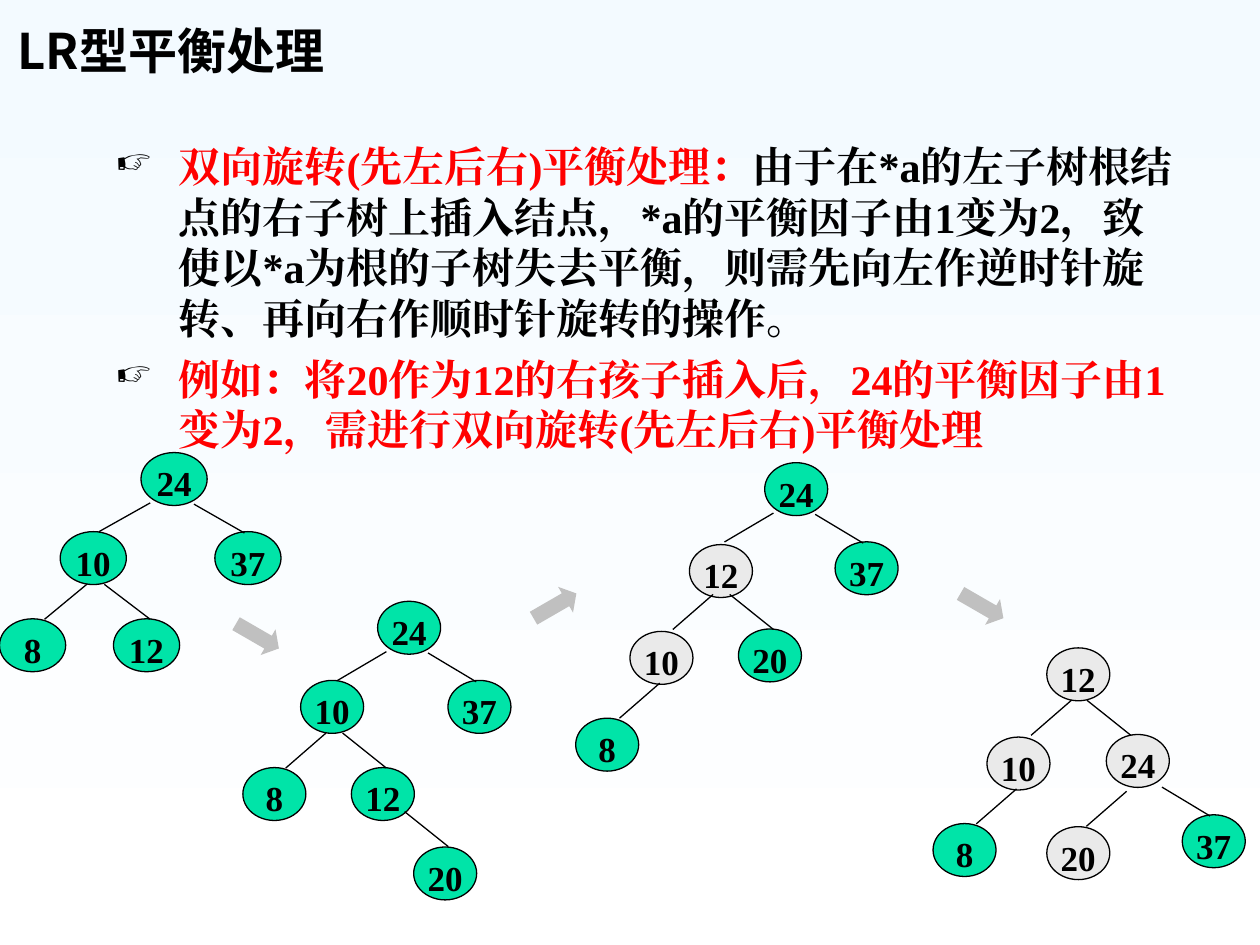
from dataclasses import dataclass
from typing import NamedTuple

from lxml.etree import SubElement
from pptx import Presentation
from pptx.dml.color import RGBColor
from pptx.enum.shapes import MSO_CONNECTOR, MSO_SHAPE
from pptx.enum.text import MSO_ANCHOR, PP_ALIGN
from pptx.oxml.ns import qn
from pptx.util import Pt


@dataclass(frozen=True)
class Theme:
    ink: str = "000000"
    key: str = "FF0000"
    green: str = "00E4A8"
    pale: str = "EAEAEA"
    arrow: str = "C0C0C0"
    sky: str = "F3FAFF"
    white: str = "FFFFFF"
    sans: str = "Noto Sans CJK SC"
    serif: str = "Times New Roman"
    title: float = 28
    body: float = 24
    label: float = 20
    line: float = 0.75


THEME = Theme()
NODE_W, NODE_H = 36, 30.24


class Node(NamedTuple):
    text: str
    x: float
    y: float
    fill: str = THEME.green


class Edge(NamedTuple):
    x: float
    y: float
    span: tuple[float, float]


class Tree(NamedTuple):
    """Nodes and edges are placed relative to the root's top left corner."""
    x: float
    y: float
    nodes: list[Node]
    edges: list[Edge]
    scale: float = 1


class Arrow(NamedTuple):
    x: float
    y: float
    turn: float


WIDE_L, WIDE_R = (-28, 16.5), (27.5, 16.5)
STEEP_L, STEEP_R = (-23, 20), (25, 20)

TOP = [Node("24", 0, 0), Node("37", 40.2, 45.2)]
TOP_EDGES = [Edge(28.8, 29.5, WIDE_R), Edge(5, 28.8, WIDE_L)]
MID_EDGES = [Edge(-20, 75.3, STEEP_R), Edge(-29.5, 75.3, STEEP_L)]
START = TOP + [Node("10", -44, 45.2), Node("12", -15, 95), Node("8", -77, 95)]

TREES = [
    Tree(80.6, 258.6, START, TOP_EDGES + MID_EDGES, 1.05),
    Tree(215.8, 343.6, START + [Node("20", 20.6, 140.4)],
         TOP_EDGES + MID_EDGES + [Edge(15.4, 120.2, STEEP_R)]),
    Tree(437, 264.4,
         TOP + [Node("12", -43, 46.8, THEME.pale), Node("20", -15, 95),
                Node("10", -77, 96.4, THEME.pale), Node("8", -108, 146)],
         TOP_EDGES + MID_EDGES + [Edge(-60, 126, STEEP_L)]),
    Tree(598.2, 370.2,
         [Node("12", 0, 0, THEME.pale), Node("24", 34, 49.5, THEME.pale),
          Node("10", -34.2, 51, THEME.pale), Node("8", -65, 100.4),
          Node("20", 0, 102.2, THEME.pale), Node("37", 77.4, 95.4)],
         [Edge(23, 30, STEEP_R), Edge(14, 30, STEEP_L),
          Edge(-17.3, 80.6, STEEP_L), Edge(45.6, 82, STEEP_L),
          Edge(65.8, 79.6, WIDE_R)]),
]
ARROWS = [Arrow(133, 355, 30), Arrow(547, 337.7, 30), Arrow(303, 337.7, 330)]

TITLE = "LR型平衡处理"
POINTS = [
    [("双向旋转(先左后右)平衡处理：", THEME.key),
     ("由于在*a的左子树根结点的右子树上插入结点，*a的平衡因子由1变为2，致使以*a为根的"
      "子树失去平衡，则需先向左作逆时针旋转、再向右作顺时针旋转的操作。", THEME.ink)],
    [("例如：将20作为12的右孩子插入后，24的平衡因子由1变为2，"
      "需进行双向旋转(先左后右)平衡处理", THEME.key)],
]


def rgb(code: str) -> RGBColor:
    return RGBColor.from_string(code)


def write(para, text: str, *, size: float, face: str = THEME.serif,
          color: str = THEME.ink) -> None:
    run = para.add_run()
    run.text = text
    font = run.font
    font.size, font.name, font.bold = Pt(size), face, True
    font.color.rgb = rgb(color)
    SubElement(font._element, qn("a:ea"), typeface=face)


def add_box(slide, x: float, y: float, w: float, h: float):
    frame = slide.shapes.add_textbox(Pt(x), Pt(y), Pt(w), Pt(h)).text_frame
    frame.word_wrap = True
    return frame


def add_mark(para) -> None:
    """Give a paragraph its hanging pointing-hand bullet."""
    props = para._p.get_or_add_pPr()
    props.set("marL", str(Pt(36)))
    props.set("indent", str(-Pt(36)))
    color = SubElement(props, qn("a:buClr"))
    SubElement(color, qn("a:srgbClr"), val=THEME.ink)
    SubElement(props, qn("a:buSzPct"), val="85000")
    SubElement(props, qn("a:buChar"), char="☞")


def add_node(group, node: Node, tree: Tree) -> None:
    shape = group.shapes.add_shape(
        MSO_SHAPE.OVAL, Pt(tree.x + node.x * tree.scale), Pt(tree.y + node.y),
        Pt(NODE_W * tree.scale), Pt(NODE_H))
    shape.shadow.inherit = False
    shape.fill.solid()
    shape.fill.fore_color.rgb = rgb(node.fill)
    shape.line.color.rgb = rgb(THEME.ink)
    shape.line.width = Pt(THEME.line)
    frame = shape.text_frame
    frame.margin_left = frame.margin_right = frame.margin_bottom = 0
    frame.margin_top = Pt(8.64)
    frame.vertical_anchor = MSO_ANCHOR.TOP
    para = frame.paragraphs[0]
    para.alignment, para.line_spacing = PP_ALIGN.CENTER, 0.64
    write(para, node.text, size=THEME.label)


def add_edge(group, edge: Edge, tree: Tree) -> None:
    across, down = edge.span
    x, y = tree.x + edge.x * tree.scale, tree.y + edge.y
    line = group.shapes.add_connector(
        MSO_CONNECTOR.STRAIGHT, Pt(x), Pt(y),
        Pt(x + across * tree.scale), Pt(y + down))
    line.line.color.rgb = rgb(THEME.ink)
    line.line.width = Pt(THEME.line)
    SubElement(line._element.spPr, qn("a:effectLst"))


def add_tree(slide, tree: Tree) -> None:
    group = slide.shapes.add_group_shape()
    for node in tree.nodes:
        add_node(group, node, tree)
    for edge in tree.edges:
        add_edge(group, edge, tree)


def add_arrow(slide, arrow: Arrow) -> None:
    shape = slide.shapes.add_shape(
        MSO_SHAPE.RIGHT_ARROW, Pt(arrow.x), Pt(arrow.y), Pt(28.3), Pt(17))
    shape.rotation = arrow.turn
    shape.adjustments[1] = 0.42
    shape.shadow.inherit = False
    shape.fill.solid()
    shape.fill.fore_color.rgb = rgb(THEME.arrow)
    shape.line.fill.background()


def main() -> None:
    deck = Presentation()
    deck.slide_width, deck.slide_height = Pt(720), Pt(540)
    slide = deck.slides.add_slide(deck.slide_layouts[6])
    back = slide.background.fill
    back.gradient()
    back.gradient_angle = 270
    for stop, color in zip(back.gradient_stops, (THEME.sky, THEME.white)):
        stop.color.rgb = rgb(color)

    head = add_box(slide, 3, 3.6, 613.4, 45.4)
    head.vertical_anchor = MSO_ANCHOR.BOTTOM
    write(head.paragraphs[0], TITLE, size=THEME.title, face=THEME.sans)

    body = add_box(slide, 59, 77, 624.2, 221)
    for i, parts in enumerate(POINTS):
        para = body.add_paragraph() if i else body.paragraphs[0]
        add_mark(para)
        if i:
            para.space_before = Pt(6)
        for text, color in parts:
            write(para, text, size=THEME.body, color=color)

    for tree in TREES:
        add_tree(slide, tree)
    for arrow in ARROWS:
        add_arrow(slide, arrow)
    deck.save("out.pptx")


if __name__ == "__main__":
    main()
